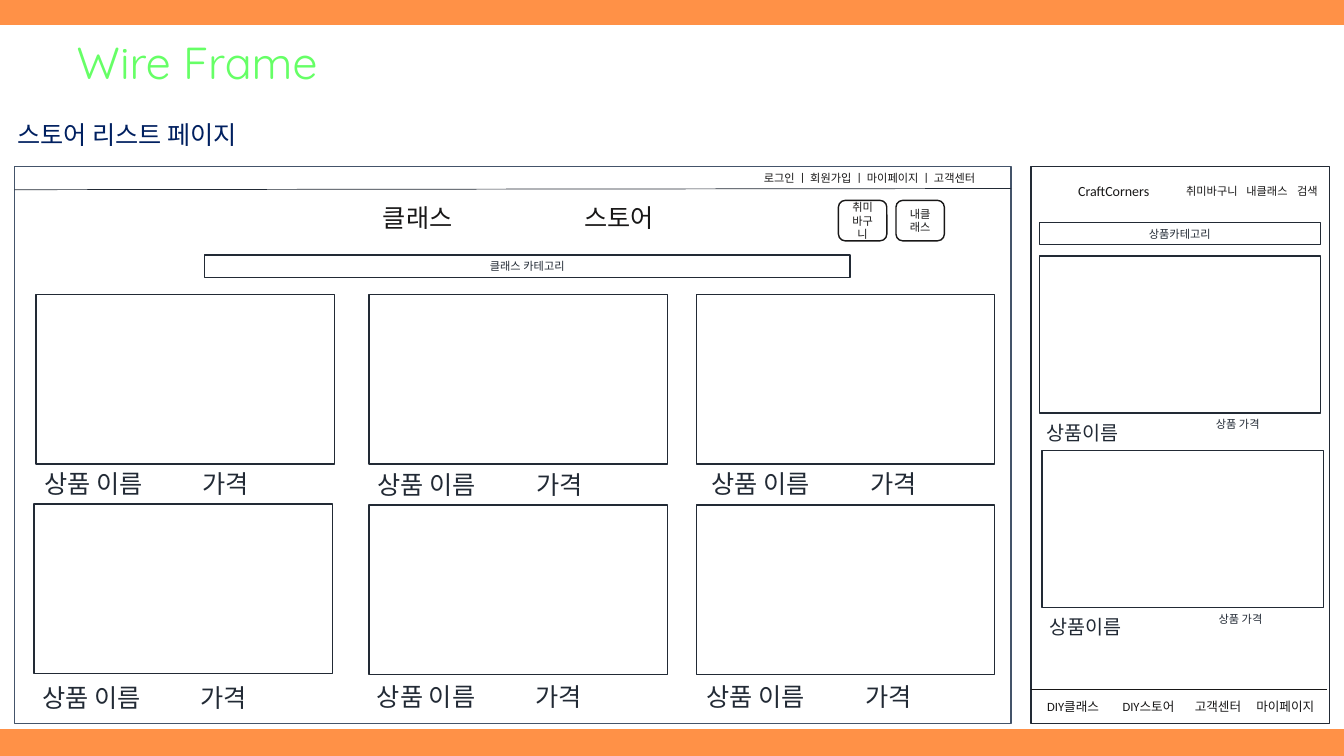
from lxml import etree
from pptx import Presentation
from pptx.dml.color import RGBColor
from pptx.enum.shapes import MSO_CONNECTOR, MSO_SHAPE
from pptx.enum.text import MSO_ANCHOR, MSO_AUTO_SIZE, PP_ALIGN
from pptx.oxml.ns import qn
from pptx.util import Cm, Pt

RECT, ROUNDED = MSO_SHAPE.RECTANGLE, MSO_SHAPE.ROUNDED_RECTANGLE
STRAIGHT = MSO_CONNECTOR.STRAIGHT
TOP, MIDDLE = MSO_ANCHOR.TOP, MSO_ANCHOR.MIDDLE
LEFT, CENTER = PP_ALIGN.LEFT, PP_ALIGN.CENTER
NO_AUTOFIT = MSO_AUTO_SIZE.NONE

ORANGE, WHITE, GREEN = "FF9147", "FFFFFF", "66FF66"
NAVY, SLATE, DARK, BLACK = "002060", "44546A", "222A35", "181717"

STORE_CARDS = [
    (0.91, 7.42, 0.86, 11.68),
    (9.3, 7.42, 9.27, 11.71),
    (17.55, 7.42, 17.68, 11.68),
    (0.86, 12.7, 0.81, 17.07),
    (9.3, 12.73, 9.25, 17.04),
    (17.55, 12.73, 17.55, 17.04),
]
PHONE_CARDS = [(26.19, 6.45), (26.26, 11.35)]


def rgb(code):
    """Turn a hex string into a colour."""
    return RGBColor.from_string(code)


def write(frame, text, size=8, color=DARK, font="Calibri", align=LEFT, anchor=TOP, tabs=()):
    """Fill a text frame with one formatted paragraph and its tab stops in cm."""
    frame.word_wrap = True
    frame.auto_size = NO_AUTOFIT
    frame.vertical_anchor = anchor
    paragraph = frame.paragraphs[0]
    paragraph.alignment = align
    if tabs:
        stops = etree.SubElement(paragraph._p.get_or_add_pPr(), qn("a:tabLst"))
        for position in tabs:
            etree.SubElement(stops, qn("a:tab"), pos=str(Cm(position)), algn="l")
    run = paragraph.add_run()
    run.text = text
    run.font.name = font
    run.font.size = Pt(size)
    run.font.color.rgb = rgb(color)


def add_label(slide, left, top, width, height, text, **style):
    """Place a text box, measured in cm."""
    label = slide.shapes.add_textbox(Cm(left), Cm(top), Cm(width), Cm(height))
    write(label.text_frame, text, **style)


def add_frame(slide, left, top, width, height, outline=DARK, kind=RECT, fill=WHITE, text="", color=DARK):
    """Draw an outlined wireframe block with optional centred text."""
    block = slide.shapes.add_shape(kind, Cm(left), Cm(top), Cm(width), Cm(height))
    block.shadow.inherit = False
    if fill:
        block.fill.solid()
        block.fill.fore_color.rgb = rgb(fill)
    else:
        block.fill.background()
    block.line.color.rgb = rgb(outline)
    block.line.width = Pt(1)
    if text:
        write(block.text_frame, text, color=color, align=CENTER, anchor=MIDDLE)
    return block


def add_divider(slide, left, start_y, right, end_y, color):
    """Draw a thin line between two points."""
    divider = slide.shapes.add_connector(STRAIGHT, Cm(left), Cm(start_y), Cm(right), Cm(end_y))
    divider.line.color.rgb = rgb(color)
    divider.line.width = Pt(0.5)
    etree.SubElement(divider._element.spPr, qn("a:effectLst"))


def add_heading(slide):
    """Set the page panel, the title and the subtitle."""
    panel = add_frame(slide, 0, 0.66, 33.87, 17.7, outline=WHITE)
    slide.shapes._spTree.insert(2, panel._element)
    title = slide.shapes.title
    title.left, title.top, title.width, title.height = Cm(1.68), Cm(0.74), Cm(7.04), Cm(1.63)
    write(title.text_frame, "Wire Frame", size=32, color=GREEN, font="Quicksand")
    add_label(slide, 0.18, 2.87, 24.66, 1.02, "스토어 리스트 페이지", size=18, color=NAVY)


def add_desktop_page(slide):
    """Draw the desktop store list."""
    add_frame(slide, 0.36, 4.19, 25.12, 14.05, outline=SLATE)
    add_divider(slide, 0.36, 4.78, 25.48, 4.75, DARK)
    add_label(slide, 19, 4.19, 6.48, 0.61, "로그인 ㅣ 회원가입 ㅣ 마이페이지 ㅣ 고객센터", color=BLACK)
    add_label(slide, 6.86, 4.98, 12.98, 1.02, "\t클래스\t스토어", size=18, color=BLACK, tabs=(2.54, 7.62))
    for left, caption in ((21.13, "취미바구니"), (22.58, "내클래스")):
        add_frame(slide, left, 5.05, 1.22, 1.02, outline=BLACK, kind=ROUNDED, fill=None,
                  text=caption, color=BLACK)
    add_frame(slide, 5.16, 6.43, 16.26, 0.56, text="클래스 카테고리")
    for left, top, caption_left, caption_top in STORE_CARDS:
        add_frame(slide, left, top, 7.52, 4.27)
        add_label(slide, caption_left, caption_top, 7.57, 1.02, "상품 이름\t가격", size=18, tabs=(4,))


def add_phone_page(slide):
    """Draw the mobile store list."""
    add_frame(slide, 25.98, 4.19, 7.52, 14.05)
    add_label(slide, 26.92, 4.47, 2.74, 0.69, "CraftCorners", size=10, color=BLACK)
    add_label(slide, 29.64, 4.52, 4.06, 0.61, "취미바구니\t내클래스\t검색", color=BLACK, tabs=(1.52, 2.8))
    add_frame(slide, 26.19, 5.61, 7.09, 0.56, text="상품카테고리")
    for left, top in PHONE_CARDS:
        add_frame(slide, left, top, 7.09, 3.96)
        add_label(slide, left - 0.06, top + 4.02, 3.99, 0.86, "상품이름", size=14)
        add_label(slide, left + 4.2, top + 3.95, 3, 0.61, "상품 가격")
    add_divider(slide, 25.98, 17.37, 33.45, 17.37, BLACK)
    add_label(slide, 26.14, 17.48, 7.7, 0.64, "DIY클래스\tDIY스토어\t고객센터\t마이페이지",
              size=9, color=BLACK, tabs=(1.9, 3.72, 5.27))


def main():
    """Build and save the slide."""
    deck = Presentation()
    deck.slide_width, deck.slide_height = Cm(33.87), Cm(19.05)
    slide = deck.slides.add_slide(deck.slide_layouts[5])
    slide.background.fill.solid()
    slide.background.fill.fore_color.rgb = rgb(ORANGE)
    add_heading(slide)
    add_desktop_page(slide)
    add_phone_page(slide)
    deck.save("out.pptx")


if __name__ == "__main__":
    main()
